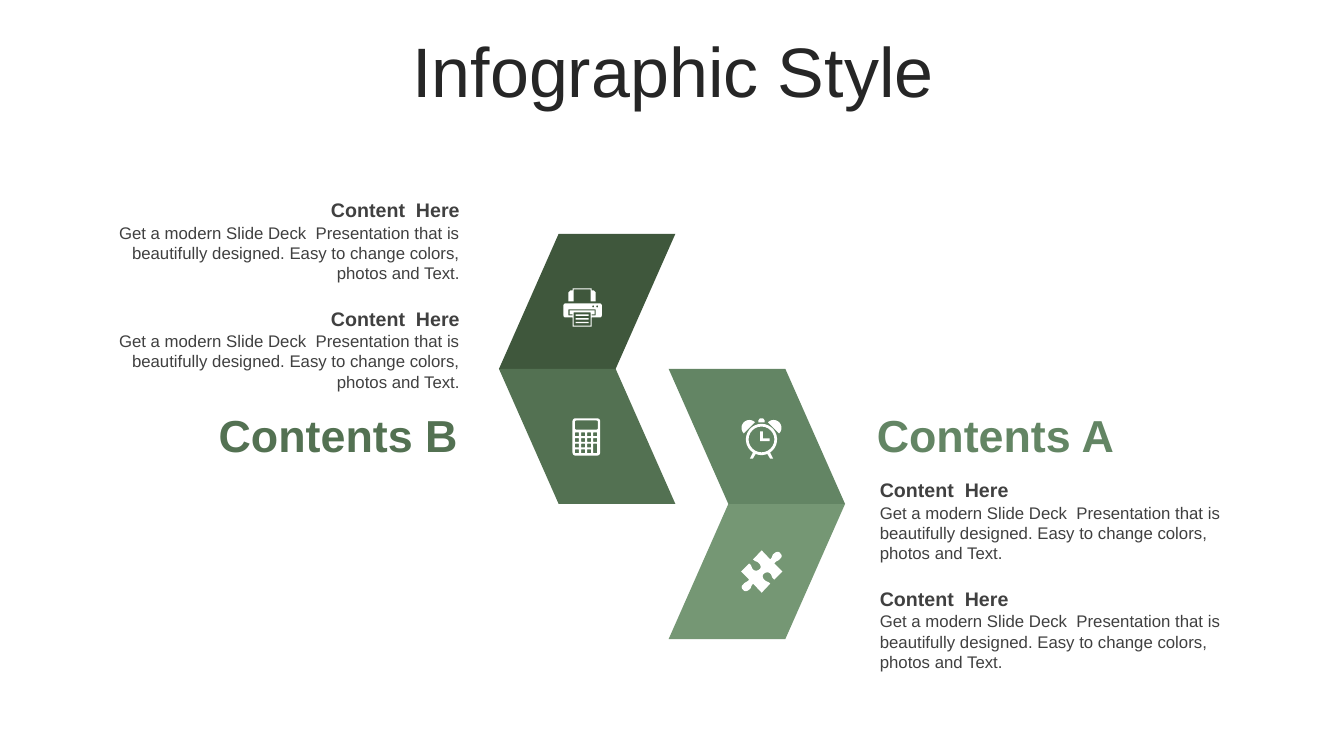
from math import cos, radians, sin

from pptx import Presentation
from pptx import util as u
from pptx.dml.color import RGBColor
from pptx.enum import shapes, text

# Grid of 40 columns by 22.5 rows; icons use 0.03 of a column
COL = u.Inches(13.3333) / 40
ICON = COL * 0.03
COLORS = {"title": "262626", "text": "404040", "white": "FFFFFF",
          "B top": "3F573C", "B": "537152", "A": "638564", "A low": "759774"}
BLURB = ("Get a modern Slide Deck  Presentation that is beautifully designed. "
         "Easy to change colors, photos and Text.")
LEFT, CENTER, RIGHT = (text.PP_ALIGN.LEFT, text.PP_ALIGN.CENTER,
                       text.PP_ALIGN.RIGHT)
MIDDLE, TOP = text.MSO_ANCHOR.MIDDLE, text.MSO_ANCHOR.TOP


def grid(*lengths):
    return [u.Emu(round(n * COL)) for n in lengths]


def paint(sp, color):
    sp.fill.solid()
    sp.fill.fore_color.rgb = RGBColor.from_string(COLORS[color])
    sp.line.fill.background()
    sp.shadow.inherit = False


# Text
def write(sp, words, size, color, bold=False, align=LEFT, anchor=MIDDLE):
    tf = sp.text_frame
    tf.word_wrap = True
    tf.vertical_anchor = anchor
    p = tf.paragraphs[0]
    p.alignment = align
    r = p.add_run()
    r.text = words
    r.font.name, r.font.size, r.font.bold = "Arial", u.Pt(size), bold
    r.font.color.rgb = RGBColor.from_string(COLORS[color])
    return p


def add_title(s, words):
    sp = s.shapes.title
    sp.left, sp.top, sp.width, sp.height = grid(1.05, 1.11, 37.98, 2.37)
    write(sp, words, 50, "title", align=CENTER).line_spacing = 0.8


def add_label(s, col, row, width, height, *args, **kwargs):
    sp = s.shapes.add_textbox(*grid(col, row, width, height))
    write(sp, *args, **kwargs)


def add_contents(s, col, row, width, align):
    for i in range(2):
        top = row + i * 3.23
        add_label(s, col, top, width, 1.02, "Content  Here", 14, "text",
                  bold=True, align=align)
        add_label(s, col, top + 0.74, width, 2.13, BLURB, 12, "text",
                  align=align, anchor=TOP)


# Chevron halves
def add_half(s, col, step, color, flip):
    sp = s.shapes.add_shape(shapes.MSO_SHAPE.PARALLELOGRAM,
                            *grid(col, 6.96 + step * 4.02, 5.25, 4.02))
    sp.adjustments[0] = 0.442
    if flip:
        sp._element.spPr.xfrm.set("flipV", "1")
    paint(sp, color)


# Outlines, as lists of points in icon units
def arc(cx, cy, radius, start, end, steps=24):
    angles = [radians(start + (end - start) * i / steps)
              for i in range(steps + 1)]
    return [(cx + radius * cos(a), cy + radius * sin(a)) for a in angles]


def rect(x, y, w, h):
    return [(x, y), (x + w, y), (x + w, y + h), (x, y + h)]


def rounded(x, y, w, h, radius, foot=()):
    x1, y1, x2, y2 = x + radius, y + radius, x + w - radius, y + h - radius
    return [*arc(x2, y2, radius, 0, 90, 6), *foot,
            *arc(x1, y2, radius, 90, 180, 6),
            *arc(x1, y1, radius, 180, 270, 6),
            *arc(x2, y1, radius, 270, 360, 6)]


def curve(*points, steps=6):
    a, b, c, d = points
    result = []
    for i in range(steps + 1):
        t = i / steps
        weights = ((1 - t) ** 3, 3 * t * (1 - t) ** 2,
                   3 * t * t * (1 - t), t ** 3)
        result.append(tuple(sum(w * q[k] for w, q in zip(weights, (a, b, c, d)))
                            for k in (0, 1)))
    return result


def printer():
    foot = [(28, 29), (28, 38), (9, 38), (9, 29)]
    tray = [(5, 21), (32, 21), (32, 27), (28, 27), (28, 26), (31, 26),
            (31, 22), (6, 22), (6, 26), (9, 26), (9, 27), (5, 27)]
    feeder = [(9, 0), (28, 0), (28, 2), (30, 2), (32, 4), (32, 13), (27, 13),
              (27, 1), (10, 1), (10, 13), (5, 13), (5, 4), (7, 2), (9, 2)]
    return [rounded(0, 15, 38, 14, 2, foot), tray, feeder,
            rect(10, 24, 17, 13),
            *[rect(12, y, 13, 1.3) for y in (26, 29.7, 33.3)],
            *[arc(x, 18, 1, 0, 360) for x in (29.5, 33.5)]]


def calculator():
    keys = [rounded(2.5 + 6 * i, 14 + 5.6 * j, 4, 3.8, 0.5)
            for i in range(4) for j in range(4) if (i, j) not in ((3, 2), (3, 3))]
    return [rounded(0, 0, 27.5, 37, 3), rounded(2.3, 2.2, 23, 9, 1.5),
            rounded(20.5, 25.2, 4, 9.4, 0.5), *keys]


def alarm_clock():
    cx, cy = 19.5, 21
    body = [(28, 34), (31, 40), (28, 40), *arc(cx, cy, 15.5, 68, 112),
            (11, 40), (8, 40), (11, 34), *arc(cx, cy, 15.5, 123, 417)]
    hands = [(18.2, 13), (20.8, 13), (20.8, 20), (27.5, 20), (27.5, 22.6),
             (18.2, 22.6)]
    knob = [(16.5, 4), (16.5, 2), (18, 0), (21, 0), (22.5, 2), (22.5, 4)]
    return [body, arc(cx, cy, 12.8, 0, 360), hands, knob,
            arc(7.5, 9.5, 7.8, 135, 315), arc(31.5, 9.5, 7.8, 225, 405)]


def puzzle():
    half = [*curve((18.5, -18), (20, -17), (20.5, -14), (18.5, -13)),
            *curve((18.5, -13), (16.5, -10), (14.5, -11), (12.5, -8)),
            (20.5, 0),
            *curve((12.5, 8), (9.5, 6), (10.5, 4), (8.5, 2)),
            *curve((8.5, 2), (6.5, 0), (3.5, 1), (2.5, 2)),
            *curve((2.5, 2), (0.5, 3), (0.5, 6), (2.5, 8)),
            *curve((2.5, 8), (5.5, 11), (5.5, 9), (8.5, 12)),
            (0, 21),
            *curve((-8.5, 12), (-11.5, 15), (-9.5, 16), (-12.5, 18)),
            *curve((-12.5, 18), (-14.5, 20), (-17.5, 20), (-18.5, 18))]
    return [half + [(-x, -y) for x, y in half]]


def add_icon(s, col, row, outlines):
    placed = [[(col * COL + x * ICON, row * COL + y * ICON) for x, y in outline]
              for outline in outlines]
    fb = s.shapes.build_freeform(*placed[0][0])
    for i, outline in enumerate(placed):
        if i:
            fb.move_to(*outline[0])
        fb.add_line_segments(outline[1:], close=True)
    paint(fb.convert_to_shape(), "white")


def main():
    prs = Presentation()
    prs.slide_width, prs.slide_height = grid(40, 22.5)
    s = prs.slides.add_slide(prs.slide_layouts[5])
    add_title(s, "Infographic Style")

    # Chevrons
    add_half(s, 19.9, 2, "A low", False)
    add_half(s, 19.9, 1, "A", True)
    add_half(s, 14.85, 0, "B top", False)
    add_half(s, 14.85, 1, "B", True)

    # Side texts
    add_contents(s, 25.89, 14.07, 11.34, LEFT)
    add_label(s, 25.8, 11.97, 9.3, 1.92, "Contents A", 32, "A", bold=True)
    add_contents(s, 2.43, 5.73, 11.55, RIGHT)
    add_label(s, 4.95, 11.97, 8.97, 1.92, "Contents B", 32, "B", bold=True,
              align=RIGHT)

    # Icons
    add_icon(s, 22.08, 12.45, alarm_clock())
    add_icon(s, 17.04, 12.45, calculator())
    add_icon(s, 16.77, 8.58, printer())
    add_icon(s, 22.67, 17.01, puzzle())
    prs.save("out.pptx")


if __name__ == "__main__":
    main()
